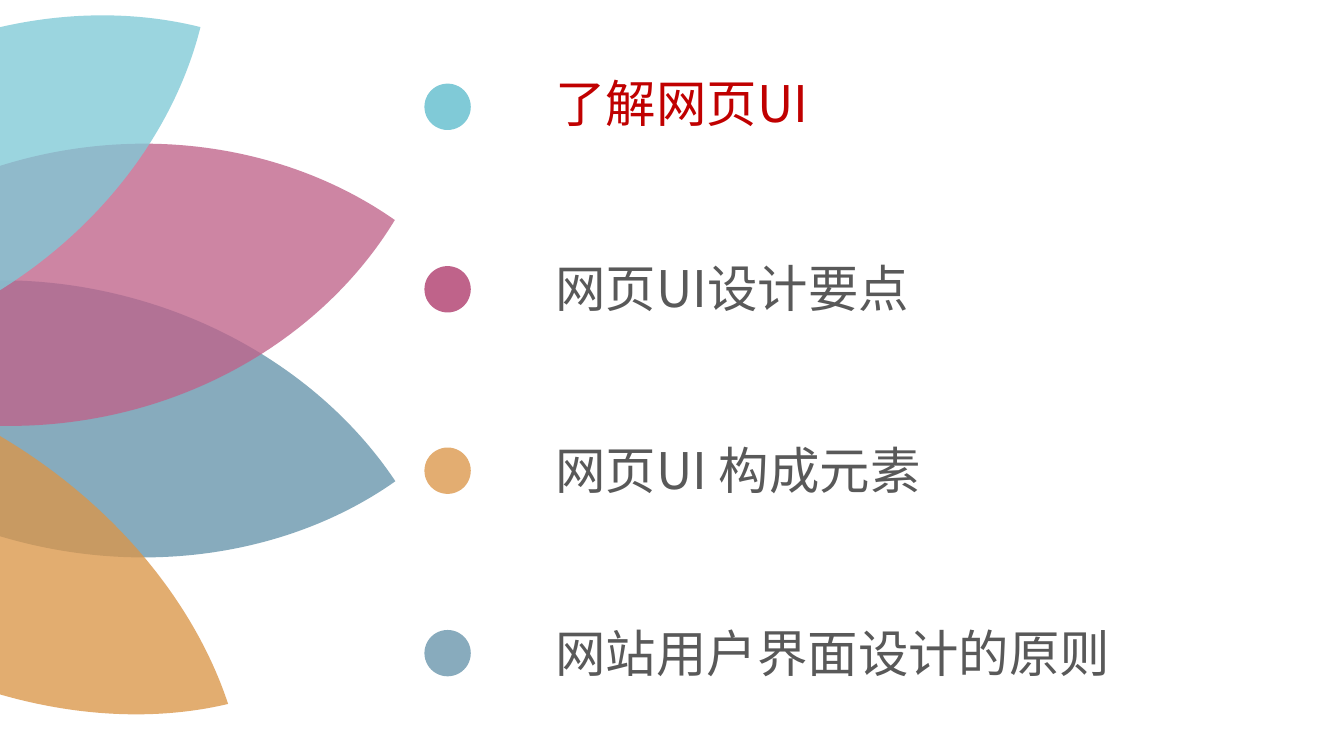
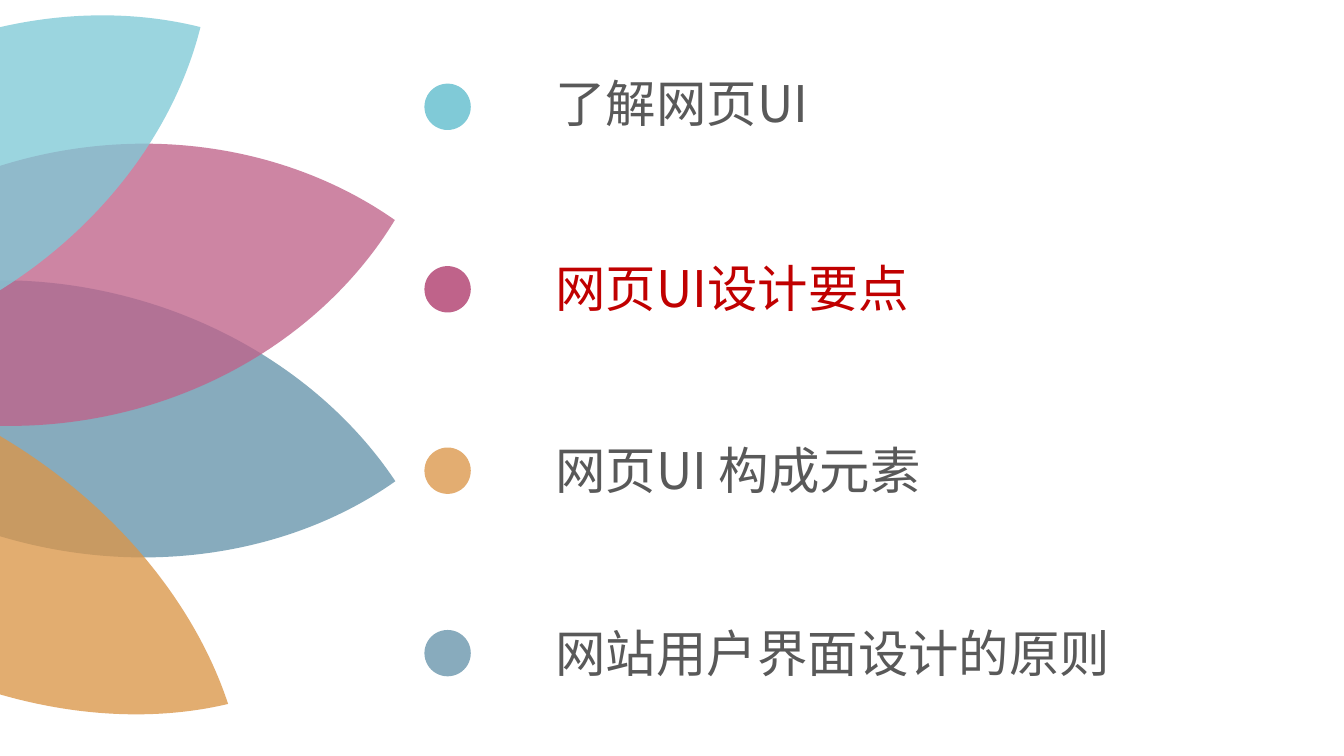
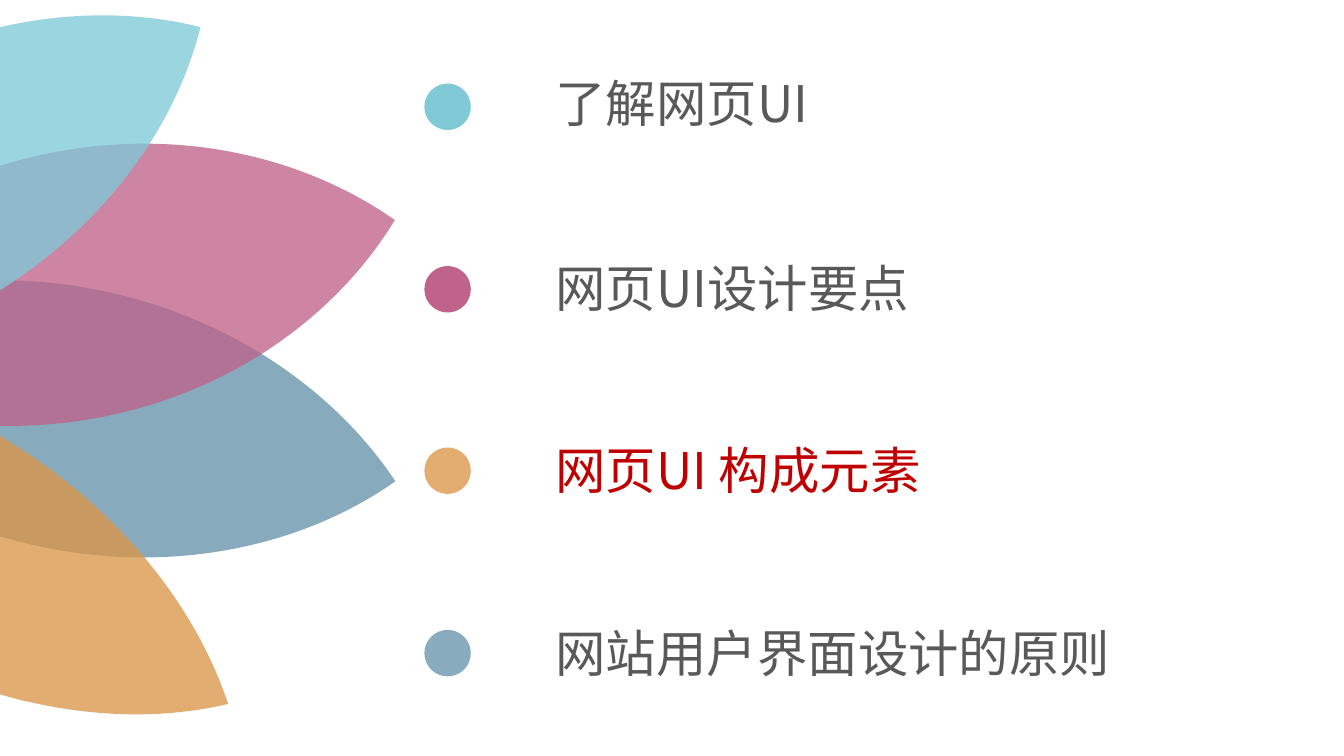
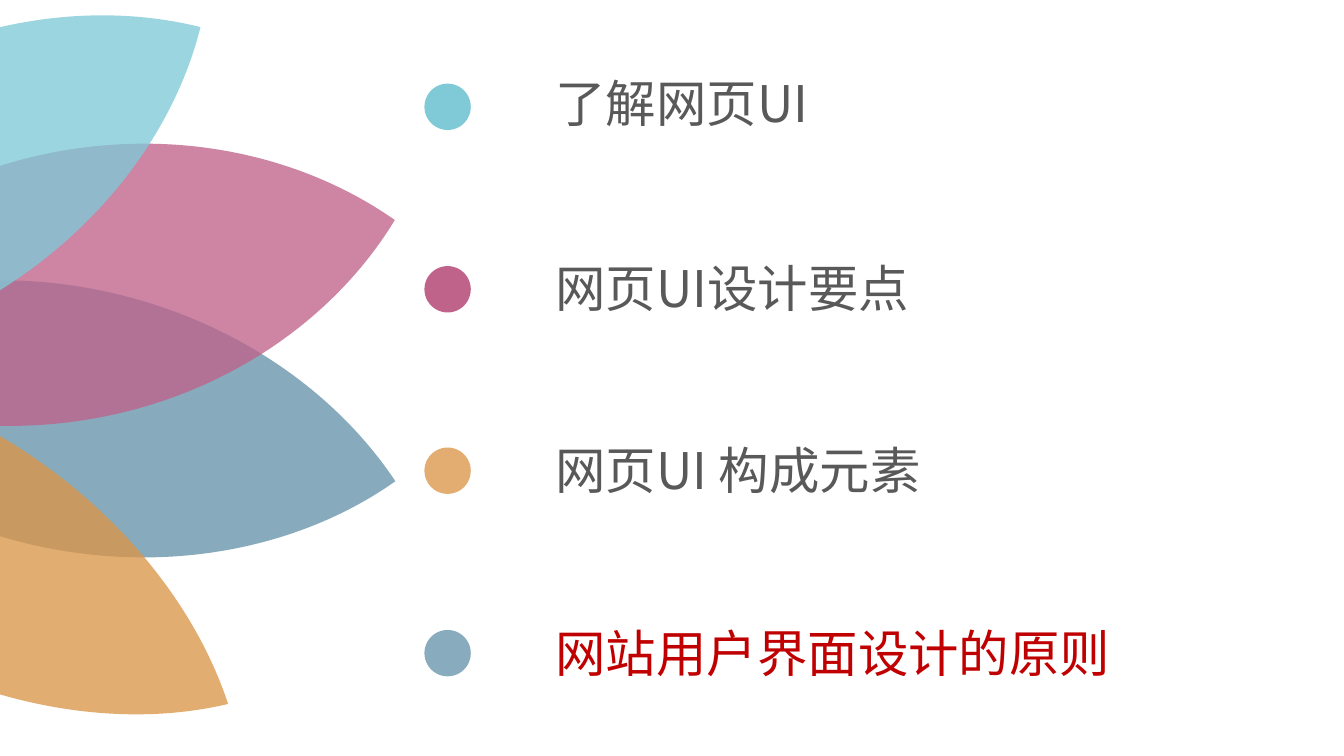
import pptx
import pptx.util
import pptx.dml.color
import pptx.enum.shapes
import pptx.enum.text
import pptx.oxml.ns
import lxml.etree

Inches = pptx.util.Inches
qn = pptx.oxml.ns.qn
SHAPES = pptx.enum.shapes.MSO_SHAPE

FONT = "Noto Sans CJK SC"
WHITE, GREY, RED = "FFFFFF", "595959", "C00000"
TEAL, PINK, BLUE, ORANGE = "80CAD7", "BF638A", "6694AB", "DB9649"
PALE_BLUE, PALE_ORANGE = "88ABBD", "E3AD71"
PETAL_OPACITY = 78

# Each topic: text, label top, label width, dot top, dot colour
TOPICS = [
    ("了解网页UI", 0.74, 4.83, 0.83, TEAL),
    ("网页UI设计要点", 2.57, 5.15, 2.64, PINK),
    ("网页UI 构成元素", 4.38, 5.15, 4.44, PALE_ORANGE),
    ("网站用户界面设计的原则", 6.19, 5.31, 6.25, PALE_BLUE),
]

# Each petal, back to front: unrotated box, rotation, colour
PETALS = [
    ((-0.59, 0.89, 2.61, 6.53), 282.3, BLUE),
    ((-1.83, 1.99, 2.38, 6.68), 120.9, ORANGE),
    ((-0.57, -0.39, 2.67, 6.43), 259.9, PINK),
    ((-2.0, -1.3, 2.48, 6.38), 240.8, TEAL),
]

# One side of a petal as two cubic curves, in percent of the box from its centre:
# tip, control, control, middle, control, control (the other tip follows)
PETAL_SIDE = [(-3, -50), (29.3, -38.2), (50, -19.6), (50, 1), (50, 20.5), (31.8, 38.1)]


def color(hex_string):
    return pptx.dml.color.RGBColor.from_string(hex_string)


def set_attributes(target, values):
    for name, value in values.items():
        setattr(target, name, value)


def style_shape(shape, fill=None, opacity=100, line=None, line_width=2.25):
    shape.shadow.inherit = False
    if fill:
        shape.fill.solid()
        shape.fill.fore_color.rgb = color(fill)
        if opacity < 100:
            rgb = shape.fill._xPr.find(".//" + qn("a:srgbClr"))
            alpha = lxml.etree.SubElement(rgb, qn("a:alpha"))
            alpha.set("val", str(opacity * 1000))
    else:
        shape.fill.background()
    if line:
        shape.line.color.rgb = color(line)
        shape.line.width = pptx.util.Pt(line_width)
    else:
        shape.line.fill.background()


def petal_outline(width, height):
    # The second side is the first, turned half round the centre
    percents = PETAL_SIDE + [(-x, -y) for x, y in PETAL_SIDE]
    points = [(Inches((50 + x) * width / 100), Inches((50 + y) * height / 100))
              for x, y in percents]
    return points + points[:1]


def curve_segments(shape, points):
    """Turn each straight segment into a cubic curve through three points."""
    for index, segment in enumerate(list(shape._element.iter(qn("a:lnTo")))):
        curve = lxml.etree.Element(qn("a:cubicBezTo"))
        for x, y in points[3 * index + 1:3 * index + 4]:
            lxml.etree.SubElement(curve, qn("a:pt"), x=str(x), y=str(y))
        segment.getparent().replace(segment, curve)


def add_petal(slide, box, rotation, fill):
    left, top, width, height = box
    points = petal_outline(width, height)
    anchors = points[::3]
    builder = slide.shapes.build_freeform(*anchors[0])
    builder.add_line_segments(anchors[1:], close=True)
    petal = builder.convert_to_shape(Inches(left), Inches(top))
    curve_segments(petal, points)
    petal.rotation = rotation
    style_shape(petal, fill, PETAL_OPACITY)


def add_dots(slide, left, size=0.46):
    for _, _, _, top, fill in TOPICS:
        dot = slide.shapes.add_shape(SHAPES.OVAL, *map(Inches, (left, top, size, size)))
        style_shape(dot, fill)


def add_label(slide, text, box, text_color):
    label = slide.shapes.add_shape(SHAPES.ROUNDED_RECTANGLE, *map(Inches, box))
    label.adjustments[0] = 0.5
    style_shape(label, line=WHITE)
    set_attributes(label.text_frame, {
        "word_wrap": False,
        "vertical_anchor": pptx.enum.text.MSO_ANCHOR.MIDDLE,
    })
    paragraph = label.text_frame.paragraphs[0]
    paragraph.alignment = pptx.enum.text.PP_ALIGN.LEFT
    run = paragraph.add_run()
    run.text = text
    set_attributes(run.font, {"name": FONT, "size": pptx.util.Pt(36)})
    run.font.color.rgb = color(text_color)
    # East Asian characters take their own typeface
    east_asian = lxml.etree.SubElement(run.font._element, qn("a:ea"))
    east_asian.set("typeface", FONT)


def add_labels(slide, left, current, height=0.56):
    for text, top, width, _, _ in reversed(TOPICS):
        add_label(slide, text, (left, top, width, height), RED if text == current else GREY)


def add_agenda_slide(presentation, current):
    slide = presentation.slides.add_slide(presentation.slide_layouts[6])
    for box, rotation, fill in PETALS:
        add_petal(slide, box, rotation, fill)
    add_dots(slide, 4.21)
    add_labels(slide, 5.33, current)


def main():
    presentation = pptx.Presentation()
    set_attributes(presentation, {"slide_width": Inches(13.33), "slide_height": Inches(7.5)})
    for topic in TOPICS:
        add_agenda_slide(presentation, topic[0])
    presentation.save("out.pptx")


if __name__ == "__main__":
    main()
